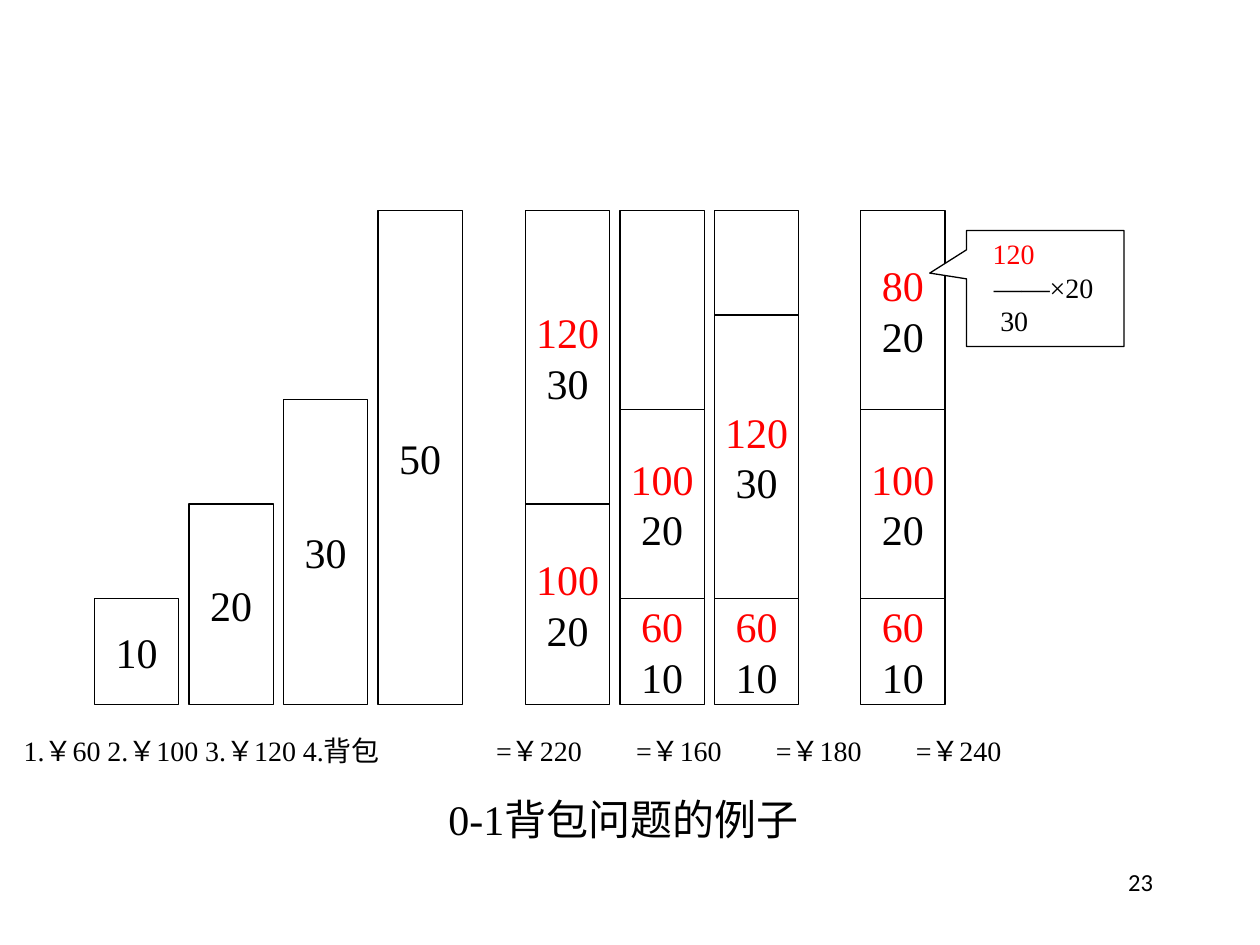
from lxml import etree
from pptx import Presentation
from pptx.dml.color import RGBColor
from pptx.enum.shapes import MSO_SHAPE
from pptx.enum.text import MSO_ANCHOR, PP_ALIGN
from pptx.oxml.ns import qn
from pptx.util import Inches, Pt

RECT = MSO_SHAPE.RECTANGLE
CALLOUT = MSO_SHAPE.RECTANGULAR_CALLOUT
MIDDLE, TOP = MSO_ANCHOR.MIDDLE, MSO_ANCHOR.TOP
LEFT, CENTER, RIGHT = PP_ALIGN.LEFT, PP_ALIGN.CENTER, PP_ALIGN.RIGHT

BLACK = RGBColor(0x00, 0x00, 0x00)
WHITE = RGBColor(0xFF, 0xFF, 0xFF)
RED = RGBColor(0xFF, 0x00, 0x00)
SERIF = "Times New Roman"

BAR_WIDTH, BAR_PITCH = 0.67, 0.75
BAR_HEIGHT = 3.92
ITEMS = [("10", 3.08), ("20", 2.33), ("30", 1.5), ("50", 0)]
CHOICES = [
    [("100", "20", 2.33), ("120", "30", 0)],
    [("60", "10", 3.08), ("100", "20", 1.58), (None, None, 0)],
    [("60", "10", 3.08), ("120", "30", 0.83), (None, None, 0)],
]
FRACTIONAL = [("60", "10", 3.08), ("100", "20", 1.58), ("80", "20", 0)]
TOTALS = ["=￥220", "=￥160", "=￥180", "=￥240"]


def write(tf, lines, size, align, font=SERIF):
    """Fill a text frame with (text, colour) lines."""
    for i, (text, color) in enumerate(lines):
        p = tf.paragraphs[0] if i == 0 else tf.add_paragraph()
        p.text = text
        p.alignment = align
        for r in p.runs:
            r.font.name = font
            r.font.size = Pt(size)
            r.font.color.rgb = color


def add_box(slide, kind, left, top, width, height, line=BLACK):
    """Add a white outlined shape without shadow."""
    sp = slide.shapes.add_shape(kind, Inches(left), Inches(top), Inches(width), Inches(height))
    sp.shadow.inherit = False
    sp.fill.solid()
    sp.fill.fore_color.rgb = WHITE
    sp.line.color.rgb = line
    sp.line.width = Pt(0.75)
    return sp


def add_label(slide, left, top, width, height, text, size, align=LEFT, font=SERIF, wrap=False):
    """Add one line of black text."""
    sp = slide.shapes.add_textbox(Inches(left), Inches(top), Inches(width), Inches(height))
    sp.text_frame.word_wrap = wrap
    write(sp.text_frame, [(text, BLACK)], size, align, font)
    return sp


def add_block(slide, left, top, height, lines):
    """Add one bar segment with centred lines."""
    sp = add_box(slide, RECT, left, top, BAR_WIDTH, height)
    tf = sp.text_frame
    tf.word_wrap = False
    tf.vertical_anchor = MIDDLE
    write(tf, lines, 24, CENTER)


def add_items(slide, left, top):
    """Add the item bars and the knapsack bar on a common base line."""
    for i, (weight, offset) in enumerate(ITEMS):
        add_block(slide, left + i * BAR_PITCH, top + offset, BAR_HEIGHT - offset, [(weight, BLACK)])


def add_stack(slide, left, top, blocks):
    """Pile up the blocks of one knapsack filling from the base upwards."""
    base = BAR_HEIGHT
    for value, weight, offset in blocks:
        lines = [(value, RED), (weight, BLACK)] if value else []
        add_block(slide, left, top + offset, base - offset, lines)
        base = offset


def add_fraction_note(slide, left, top, width, height):
    """Add the callout that works out the fractional value."""
    sp = add_box(slide, CALLOUT, left, top, width, height)
    sp.adjustments[0] = -0.733
    sp.adjustments[1] = -0.133
    tf = sp.text_frame
    tf.word_wrap = True
    tf.vertical_anchor = TOP
    write(tf, [("120", RED), ("——×20", BLACK), ("30", BLACK)], 16, LEFT)
    for p, indent in zip(tf.paragraphs, (0.11, 0.12, 0.17)):
        p._p.get_or_add_pPr().set("marL", str(Inches(indent)))


def add_totals(slide, left, top, width, height):
    """Add the price line, with the totals on evenly spaced tab stops."""
    text = "\t".join(["1.￥60 2.￥100 3.￥120 4.背包"] + TOTALS)
    sp = add_label(slide, left, top, width, height, text, 16, wrap=True)
    tf = sp.text_frame
    tf.margin_right = Inches(0)
    tabs = etree.SubElement(tf.paragraphs[0]._p.get_or_add_pPr(), qn("a:tabLst"))
    for i in range(len(TOTALS)):
        etree.SubElement(tabs, qn("a:tab"), pos=str(Inches(3.75 + i * 1.11)), algn="l")


def main():
    """Build the knapsack slide."""
    prs = Presentation()
    prs.slide_width, prs.slide_height = Inches(10), Inches(7.5)
    slide = prs.slides.add_slide(prs.slide_layouts[6])
    add_label(slide, 7.17, 6.83, 2.08, 0.5, "23", 14, RIGHT, "Calibri", True)
    add_box(slide, RECT, 0.5, 1.42, 9, 5.42, WHITE)
    add_items(slide, 0.75, 1.67)
    add_totals(slide, 0.09, 5.77, 8.07, 0.37)
    for i, blocks in enumerate(CHOICES):
        add_stack(slide, 4.17 + i * BAR_PITCH, 1.67, blocks)
    add_stack(slide, 6.83, 1.67, FRACTIONAL)
    add_fraction_note(slide, 7.67, 1.83, 1.25, 0.92)
    add_label(slide, 3.46, 6.25, 3.06, 0.5, "0-1背包问题的例子", 24)
    prs.save("out.pptx")


if __name__ == "__main__":
    main()
